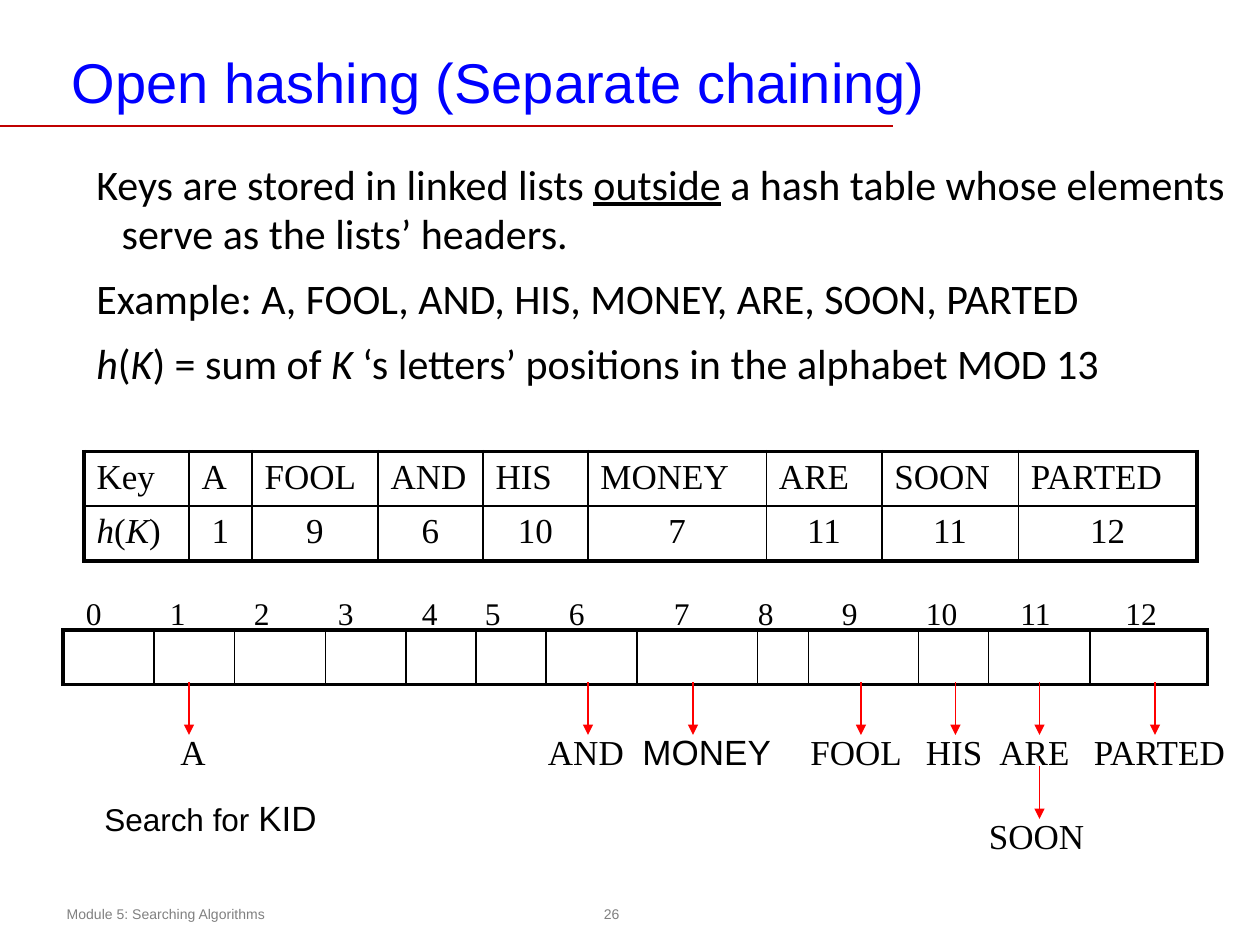
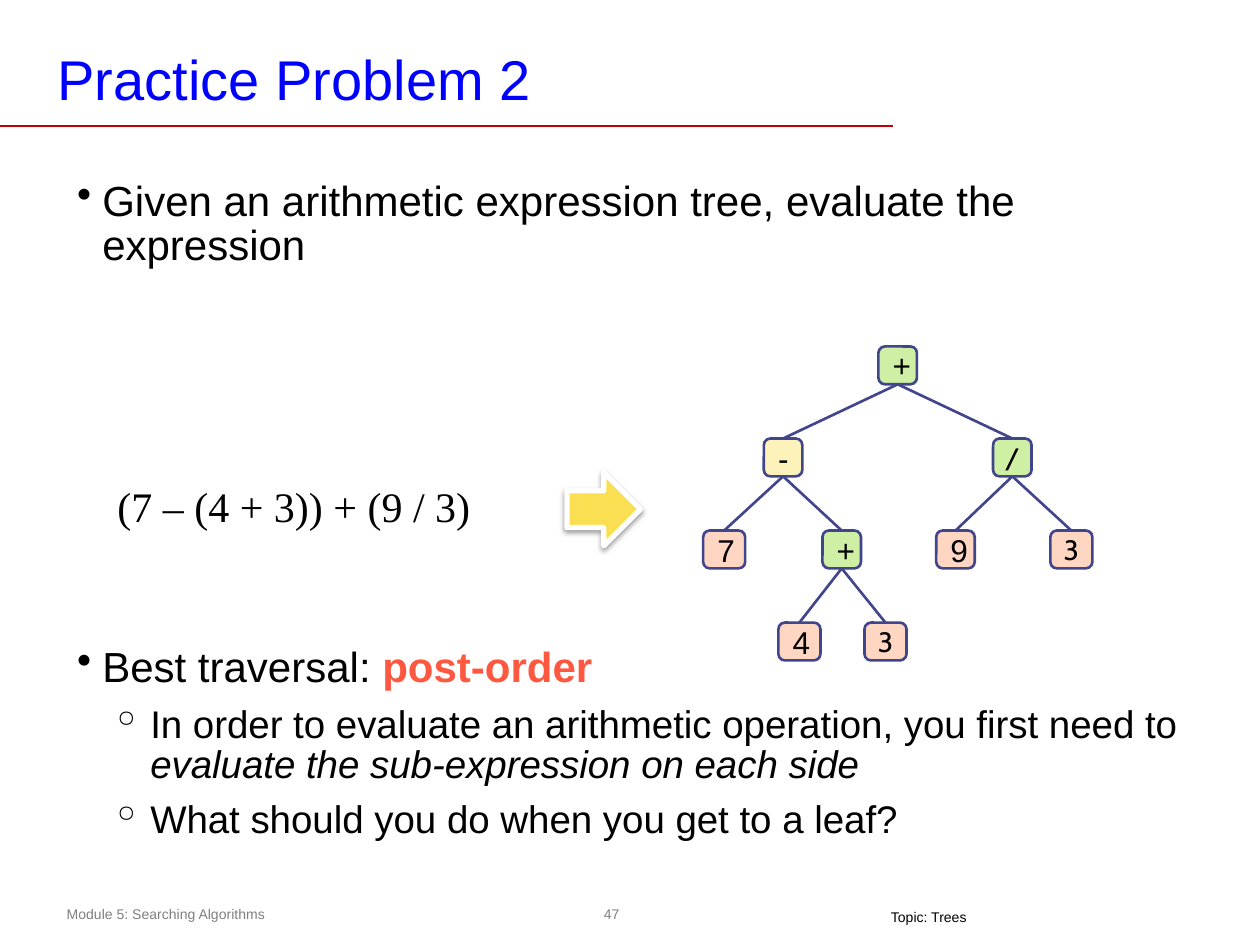
from lxml import etree
from pptx import Presentation
from pptx.dml.color import RGBColor
from pptx.enum import shapes, text
from pptx.oxml import ns
from pptx.util import Pt

rgb = RGBColor.from_string
BLACK, BLUE, GREY, RULE, RED = "000000", "0000FF", "808080", "C00000", "FF0000"
EDGE, GREEN, YELLOW, PEACH = "40458C", "CFEFA4", "FDF2BA", "FFD6C2"
SANS, SERIF, BODY, LEAF = "Arial", "Times New Roman", "Calibri", "Cabin"
CENTER = text.PP_ALIGN.CENTER


def write(paragraph, runs, face, size, colour=BLACK):
    """Fill a paragraph from a string or from (text, style) pairs, style being i, u, b or empty."""
    font = paragraph.font
    font.name, font.size, font.color.rgb = face, Pt(size), rgb(colour)
    for words, style in [(runs, "")] if isinstance(runs, str) else runs:
        run = paragraph.add_run()
        run.text = words
        if style:
            setattr(run.font, {"i": "italic", "u": "underline", "b": "bold"}[style], True)


def text_box(slide, left, top, width, height, runs=None, face=SANS, size=18, colour=BLACK):
    frame = slide.shapes.add_textbox(Pt(left), Pt(top), Pt(width), Pt(height)).text_frame
    frame.word_wrap = True
    if runs:
        write(frame.paragraphs[0], runs, face, size, colour)
    return frame


prs = Presentation()
prs.slide_width, prs.slide_height = Pt(720), Pt(540)
lines = []  # slide, x1, y1, x2, y2, colour, width, has arrowhead

# Title, rule and footer on both slides
pages = []
for title, left, top, number in [
    ("Open hashing (Separate chaining)", 36, 21.6, "26"),
    ("Practice Problem 2", 28, 20.2, "47"),
]:
    slide = prs.slides.add_slide(prs.slide_layouts[6])
    pages.append(slide)
    heading = text_box(slide, left, top, 648, 48, title, SANS, 32, BLUE)
    heading.margin_left = heading.margin_right = Pt(5)
    heading.margin_top = Pt(5.5)
    text_box(slide, 31, 514, 262, 17, "Module 5: Searching Algorithms", SANS, 8, GREY)
    page_number = text_box(slide, 341, 513, 17, 19, number, SANS, 8, GREY)
    page_number.margin_left = page_number.margin_right = 0
    page_number.vertical_anchor = text.MSO_ANCHOR.MIDDLE
    page_number.paragraphs[0].alignment = CENTER
    lines.append((slide, 0, 72, 510.5, 72, RULE, 1, False))
hashing, practice = pages

# Body text: slide, box, line spacing, paragraphs (bullet, size, runs)
bodies = [
    (hashing, (48, 88.5, 672, 150), BODY, 0.97, [
        ("", 24, [("Keys are stored in linked lists ", ""), ("outside", "u"),
                  (" a hash table whose elements serve as the lists’ headers.", "")]),
        ("", 24, "Example: A, FOOL, AND, HIS, MONEY, ARE, SOON, PARTED"),
        ("", 24, [("h", "i"), ("(", ""), ("K", "i"), (") = sum of ", ""), ("K ", "i"),
                  ("‘s letters’ positions in the alphabet MOD 13", "")]),
    ]),
    (practice, (37, 100, 648, 60), SANS, 0.87, [
        ("•", 24, "Given an arithmetic expression tree, evaluate the expression"),
    ]),
    (practice, (37, 366.3, 648, 130), SANS, 0.87, [
        ("•", 24, [("Best traversal: ", ""), ("post-order", "b")]),
        ("◦", 22, [("In order to evaluate an arithmetic operation, you first need to ", ""),
                   ("evaluate the sub-expression on each side", "i")]),
        ("◦", 22, "What should you do when you get to a leaf?"),
    ]),
]
for slide, box, face, spacing, paragraphs in bodies:
    frame = text_box(slide, *box)
    for i, (bullet, size, runs) in enumerate(paragraphs):
        paragraph = frame.add_paragraph() if i else frame.paragraphs[0]
        margin, hanging = (41.8, 22.3) if bullet == "◦" else (14.4, 14.4)
        props = paragraph._p.get_or_add_pPr()
        props.set("marL", str(Pt(margin)))
        props.set("indent", str(-Pt(hanging)))
        if bullet:
            etree.SubElement(props, ns.qn("a:buChar"), char=bullet)
        paragraph.line_spacing = spacing
        if i:
            paragraph.space_before = Pt(round(size * 0.39, 1))
        write(paragraph, runs, face, size)
        for run in paragraph.runs:
            if run.font.bold:
                run.font.color.rgb = rgb("FF5840")

# Hash values and the empty hash table
keys = ["Key", "A", "FOOL", "AND", "HIS", "MONEY", "ARE", "SOON", "PARTED"]
hashes = [[("h", "i"), ("(", ""), ("K", "i"), (")", "")],
          "1", "9", "6", "10", "7", "11", "11", "12"]
bucket_widths = [52, 46, 52, 46, 40, 40, 52, 69, 29, 63, 40, 58, 67]
for left, top, widths, rows in [
    (48, 258, [60, 36, 72, 60, 60, 102, 66, 78, 102], [keys, hashes]),
    (36, 360, bucket_widths, [[""] * len(bucket_widths)]),
]:
    last_row, last_col = len(rows) - 1, len(widths) - 1
    table = hashing.shapes.add_table(len(rows), len(widths), Pt(left), Pt(top),
                                     Pt(sum(widths)), Pt(31 * len(rows))).table
    table.first_row = table.horz_banding = False
    for column, width in zip(table.columns, widths):
        column.width = Pt(width)
    for r, row in enumerate(rows):
        for c, runs in enumerate(row):
            cell = table.cell(r, c)
            props = cell._tc.get_or_add_tcPr()
            outer = {"L": c == 0, "R": c == last_col, "T": r == 0, "B": r == last_row}
            for side, is_outer in outer.items():
                border = etree.SubElement(props, ns.qn("a:ln" + side),
                                          w=str(Pt(2.25 if is_outer else 1)))
                fill = etree.SubElement(border, ns.qn("a:solidFill"))
                etree.SubElement(fill, ns.qn("a:srgbClr"), val=BLACK)
            cell.fill.background()
            paragraph = cell.text_frame.paragraphs[0]
            if runs:
                write(paragraph, runs, SERIF, 20)
            if r and c:
                paragraph.alignment = CENTER

# Bucket numbers and chained keys
for bucket, left in enumerate([42, 90, 138, 186, 234, 270, 318, 378, 426, 474, 522, 576, 636]):
    text_box(hashing, left, 336, 42, 29, str(bucket), SERIF, 18)
for key, left, width, arrow_x, depth in [
    ("A", 96, 24, 108, 0), ("AND", 306, 60, 336, 0), ("MONEY", 360, 96, 396, 0),
    ("FOOL", 456, 78, 492, 0), ("HIS", 522, 54, 546, 0), ("ARE", 564, 60, 594, 0),
    ("PARTED", 618, 102, 660, 0), ("SOON", 558, 72, 594, 1),
]:
    drop = 48 * depth
    text_box(hashing, left, 414 + drop, width, 31, key, SANS if key == "MONEY" else SERIF, 20)
    lines.append((hashing, arrow_x, 390 + drop, arrow_x, 420 + drop, RED, 1, True))
search = text_box(hashing, 52.5, 451.5, 157, 37, [("Search for ", ""), ("KID", "")], SANS, 18)
search.paragraphs[0].runs[1].font.size = Pt(20)

# Expression tree: symbol, centre x, level, width, fill, face, parent
NODE_H, LEVEL_STEP, TREE_TOP = 21.6, 52.6, 198
nodes = [
    ("+", 513, 0, 22, GREEN, SANS, None),
    ("-", 447.5, 1, 22, YELLOW, SANS, 0),
    ("/", 578.5, 1, 22, GREEN, LEAF, 0),
    ("7", 413.8, 2, 24, PEACH, SANS, 1),
    ("+", 481, 2, 22, GREEN, SANS, 1),
    ("9", 546, 2, 22, PEACH, SANS, 2),
    ("3", 612.2, 2, 24, PEACH, LEAF, 2),
    ("4", 456.8, 3, 24, PEACH, SANS, 4),
    ("3", 506, 3, 24, PEACH, LEAF, 4),
]
for symbol, x, level, width, fill, face, parent in nodes:
    top = TREE_TOP + level * LEVEL_STEP
    node = practice.shapes.add_shape(shapes.MSO_SHAPE.ROUNDED_RECTANGLE, Pt(x - width / 2),
                                     Pt(top), Pt(width), Pt(NODE_H))
    node.adjustments[0] = 0.17
    node.shadow.inherit = False
    node.fill.solid()
    node.fill.fore_color.rgb = rgb(fill)
    node.line.color.rgb, node.line.width = rgb(EDGE), Pt(1.5)
    frame = node.text_frame
    frame.word_wrap = False
    frame.vertical_anchor = text.MSO_ANCHOR.MIDDLE
    paragraph = frame.paragraphs[0]
    if face == LEAF:
        frame.margin_left = frame.margin_right = 0
        paragraph.alignment = CENTER
    else:
        paragraph.alignment = text.PP_ALIGN.LEFT
    write(paragraph, symbol, face, 16 if face == LEAF else 18)
    if parent is not None:
        parent_x, parent_level = nodes[parent][1:3]
        parent_bottom = TREE_TOP + parent_level * LEVEL_STEP + NODE_H
        lines.append((practice, parent_x, parent_bottom, x, top, EDGE, 1.5, False))

# Expression, arrow to its tree, and topic
text_box(practice, 60, 271, 264, 36, "(7 – (4 + 3)) + (9 / 3)", SERIF, 24)
arrow = practice.shapes.add_shape(shapes.MSO_SHAPE.RIGHT_ARROW, Pt(324), Pt(270), Pt(42), Pt(42))
arrow.fill.solid()
arrow.fill.fore_color.rgb = rgb("FBDF53")
arrow.line.color.rgb, arrow.line.width = rgb("FFFFFF"), Pt(3)
arrow.shadow.inherit = False
effects = arrow._element.spPr.find(ns.qn("a:effectLst"))
shadow = etree.SubElement(effects, ns.qn("a:outerShdw"), blurRad=str(Pt(3.1)),
                          dist=str(Pt(1.6)), dir="5400000", rotWithShape="0")
shade = etree.SubElement(shadow, ns.qn("a:srgbClr"), val=BLACK)
etree.SubElement(shade, ns.qn("a:alpha"), val="38000")
topic = text_box(practice, 502, 519, 70, 12, "Topic: Trees", SANS, 8)
topic.margin_top = 0

for slide, x1, y1, x2, y2, colour, width, has_arrowhead in lines:
    line = slide.shapes.add_connector(shapes.MSO_CONNECTOR.STRAIGHT,
                                      Pt(x1), Pt(y1), Pt(x2), Pt(y2))
    line.line.color.rgb, line.line.width = rgb(colour), Pt(width)
    if has_arrowhead:
        etree.SubElement(line.line._get_or_add_ln(), ns.qn("a:tailEnd"), type="triangle")
    etree.SubElement(line._element.spPr, ns.qn("a:effectLst"))

prs.save("out.pptx")
